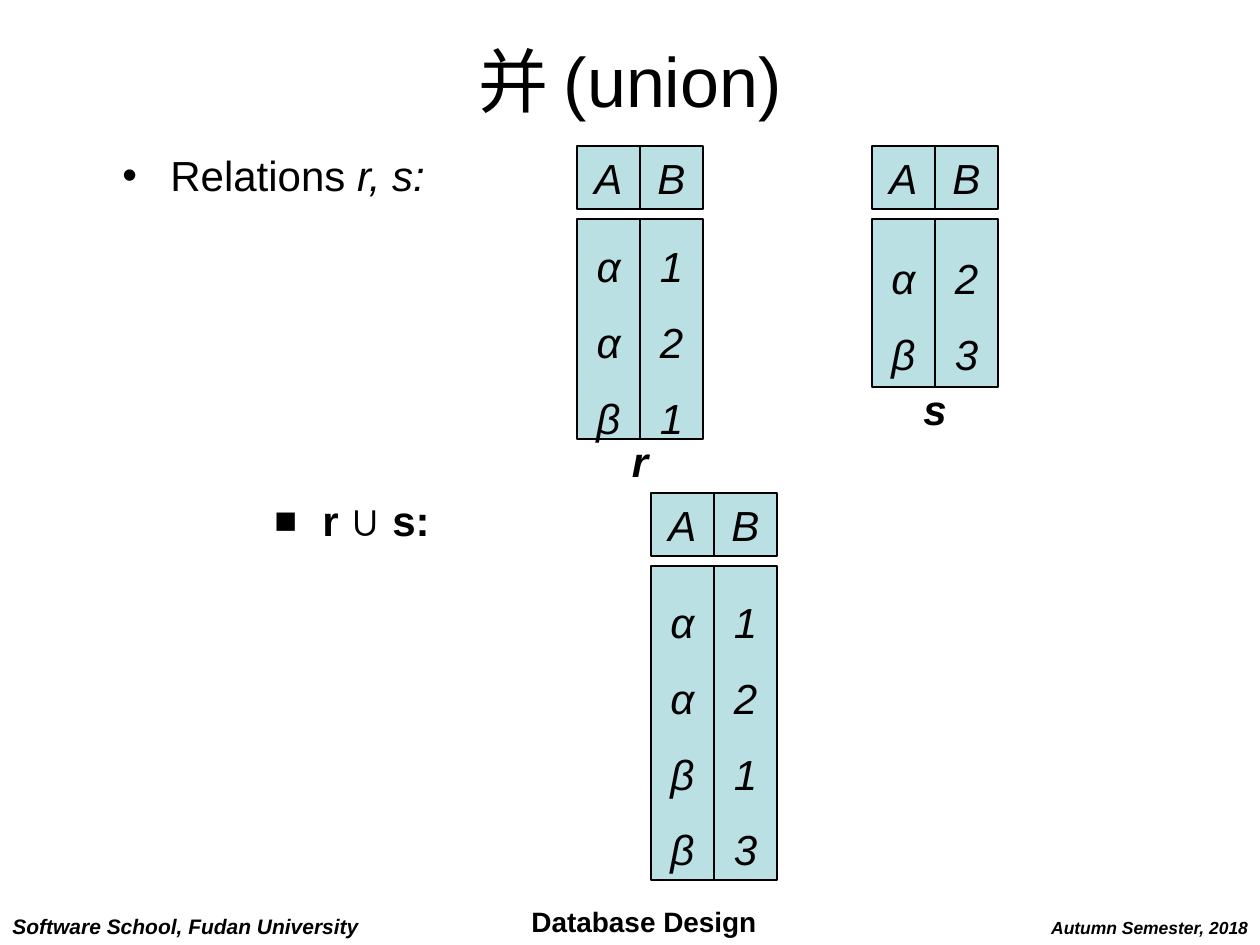
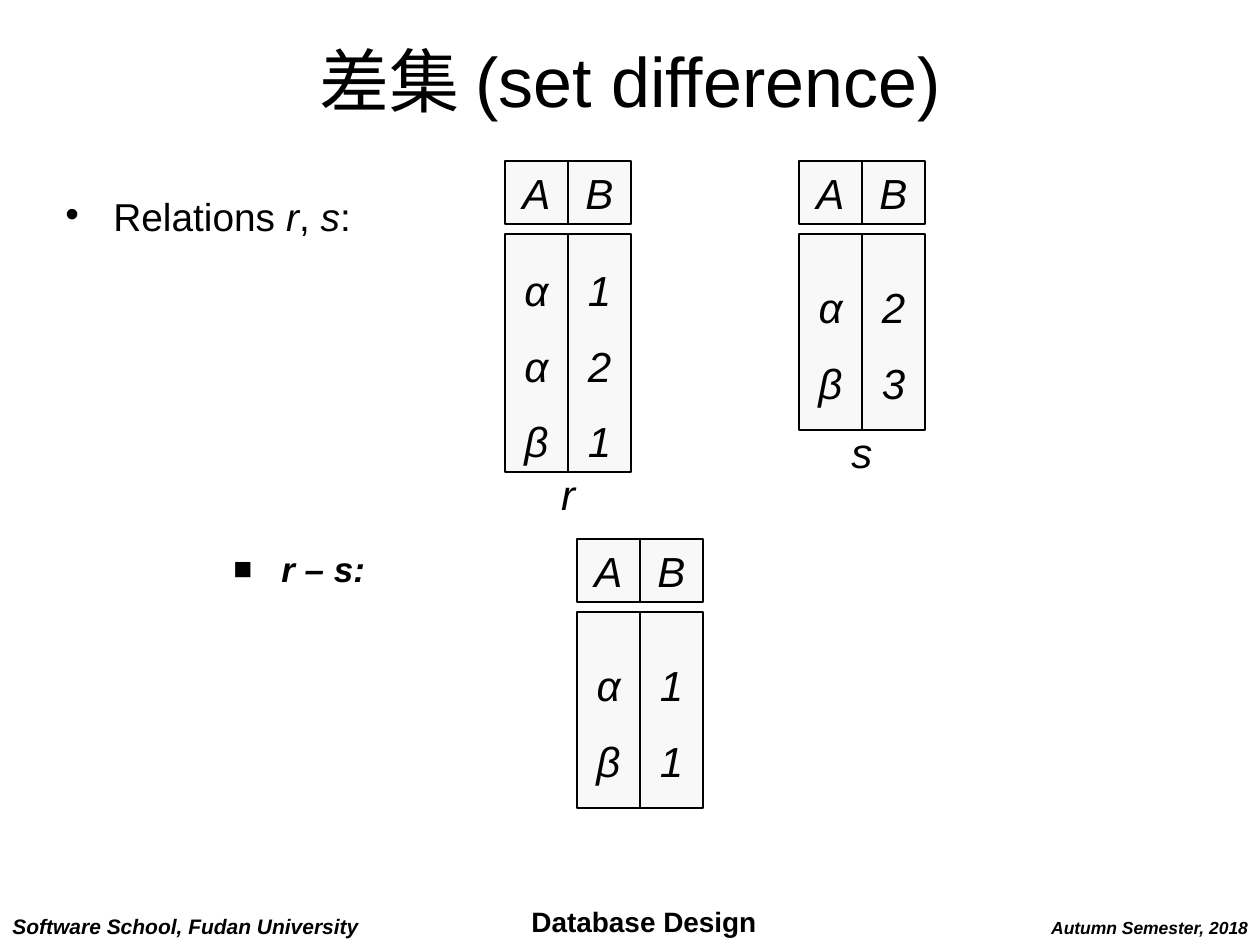
from dataclasses import dataclass
from typing import NamedTuple

from lxml import etree
from pptx import Presentation
from pptx.dml.color import RGBColor
from pptx.enum.shapes import MSO_SHAPE
from pptx.enum.text import MSO_ANCHOR, MSO_AUTO_SIZE, PP_ALIGN
from pptx.oxml.ns import qn
from pptx.util import Emu, Pt

RECTANGLE = MSO_SHAPE.RECTANGLE
LEFT, CENTER = PP_ALIGN.LEFT, PP_ALIGN.CENTER
TOP, MIDDLE = MSO_ANCHOR.TOP, MSO_ANCHOR.MIDDLE
NO_AUTOFIT = MSO_AUTO_SIZE.NONE

BLACK = RGBColor(0x00, 0x00, 0x00)
PALE_TEAL = RGBColor(0xBB, 0xE0, 0xE3)
PALE_GRAY = RGBColor(0xF8, 0xF8, 0xF8)

FONT = "Arial"
EMU_PER_PX = 914400 / 126
SLIDE_WIDTH, SLIDE_HEIGHT = 1260, 945
TITLE_ONLY = 5

CELL = 63  # column width and header height
HEADER_GAP = 10
LABEL_WIDTH, LABEL_OVERLAP = 46, 10
BULLET_INDENT = 48


class Box(NamedTuple):
    left: int
    top: int
    width: int
    height: int


class Span(NamedTuple):
    text: str
    italic: bool = False


class Bullet(NamedTuple):
    char: str
    percent: int = 100


DOT, SQUARE = Bullet("•"), Bullet("■", 90)


@dataclass
class Relation:
    left: int
    top: int
    body_height: int
    rows: list[str]
    name: str = ""


@dataclass
class BulletLine:
    box: Box
    bullet: Bullet
    spans: tuple[Span, ...]
    size: float
    spacing: float = 0.9
    bold: bool = False


@dataclass
class Footer:
    box: Box
    text: str
    size: int
    italic: bool = True
    align: PP_ALIGN = CENTER


@dataclass
class Operation:
    title: str
    fill: RGBColor
    bold_names: bool
    bullet_lines: list[BulletLine]
    relations: list[Relation]


FOOTERS = [
    Footer(Box(1038, 911, 223, 34), "Autumn Semester, 2018", 10),
    Footer(Box(519, 898, 250, 47), "Database Design", 16, italic=False),
    Footer(Box(0, 907, 372, 38), "Software School, Fudan University", 12, align=LEFT),
]

OPERATIONS = [
    Operation(
        "并 (union)", PALE_TEAL, True,
        [
            BulletLine(Box(110, 149, 945, 46), DOT,
                       (Span("Relations "), Span("r, s:", True)), 24),
            BulletLine(Box(262, 494, 310, 45), SQUARE,
                       (Span("r ∪ s:"),), 24, bold=True),
        ],
        [
            Relation(577, 146, 220, ["α1", "α2", "β1"], "r"),
            Relation(872, 146, 168, ["α2", "β3"], "s"),
            Relation(651, 493, 314, ["α1", "α2", "β1", "β3"]),
        ],
    ),
    Operation(
        "差集 (set difference)", PALE_GRAY, False,
        [
            BulletLine(Box(53, 199, 945, 46), DOT,
                       (Span("Relations "), Span("r", True), Span(", "),
                        Span("s", True), Span(":")), 22.2, spacing=0.7),
            BulletLine(Box(221, 546, 210, 45), SQUARE,
                       (Span("r – s:", True),), 20, bold=True),
        ],
        [
            Relation(505, 161, 238, ["α1", "α2", "β1"], "r"),
            Relation(799, 161, 196, ["α2", "β3"], "s"),
            Relation(577, 539, 196, ["α1", "β1"]),
        ],
    ),
]


def px(length: int) -> Emu:
    return Emu(round(length * EMU_PER_PX))


def place(box: Box) -> list[Emu]:
    return [px(length) for length in box]


def add_bullet(paragraph, bullet: Bullet) -> None:
    properties = paragraph._p.get_or_add_pPr()
    properties.set("marL", str(px(BULLET_INDENT)))
    properties.set("indent", str(-px(BULLET_INDENT)))
    color = etree.SubElement(properties, qn("a:buClr"))
    etree.SubElement(color, qn("a:srgbClr"), val=str(BLACK))
    etree.SubElement(properties, qn("a:buSzPct"), val=str(bullet.percent * 1000))
    etree.SubElement(properties, qn("a:buFont"), typeface=FONT)
    etree.SubElement(properties, qn("a:buChar"), char=bullet.char)


def write(shape, *lines: tuple[Span, ...], size: float, bold: bool = False,
          align: PP_ALIGN = CENTER, anchor: MSO_ANCHOR = MIDDLE,
          spacing: float = 1.0, wrap: bool = False,
          bullet: Bullet | None = None) -> None:
    """Fill a shape with one paragraph for each line of spans."""
    frame = shape.text_frame
    frame.word_wrap = wrap
    frame.auto_size = NO_AUTOFIT
    frame.vertical_anchor = anchor
    for index, spans in enumerate(lines):
        paragraph = frame.add_paragraph() if index else frame.paragraphs[0]
        if bullet:
            add_bullet(paragraph, bullet)
        paragraph.alignment = align
        paragraph.line_spacing = spacing
        for span in spans:
            run = paragraph.add_run()
            run.text = span.text
            run.font.name = FONT
            run.font.size = Pt(size)
            run.font.bold = bold
            run.font.italic = span.italic
            run.font.color.rgb = BLACK


def draw_cell(slide, box: Box, values: list[str], fill: RGBColor,
              spacing: float) -> None:
    cell = slide.shapes.add_shape(RECTANGLE, *place(box))
    cell.shadow.inherit = False
    cell.fill.solid()
    cell.fill.fore_color.rgb = fill
    cell.line.color.rgb = BLACK
    cell.line.width = Pt(0.75)
    write(cell, *[(Span(value, True),) for value in values],
          size=24, spacing=spacing)


def draw_relation(slide, relation: Relation, fill: RGBColor, bold_name: bool) -> None:
    body_top = relation.top + CELL + HEADER_GAP
    for column, heading in enumerate("AB"):
        left = relation.left + column * CELL
        draw_cell(slide, Box(left, relation.top, CELL, CELL), [heading], fill, 1.0)
        values = [row[column] for row in relation.rows]
        draw_cell(slide, Box(left, body_top, CELL, relation.body_height),
                  values, fill, 1.5)
    if relation.name:
        name_box = Box(relation.left + CELL - LABEL_WIDTH // 2,
                       body_top + relation.body_height - LABEL_OVERLAP,
                       LABEL_WIDTH, CELL)
        write(slide.shapes.add_textbox(*place(name_box)),
              (Span(relation.name, True),), size=24, bold=bold_name)


def draw_bullet_line(slide, line: BulletLine) -> None:
    write(slide.shapes.add_textbox(*place(line.box)), line.spans, size=line.size,
          bold=line.bold, align=LEFT, anchor=TOP, spacing=line.spacing,
          wrap=True, bullet=line.bullet)


def draw_footer(slide, footer: Footer) -> None:
    write(slide.shapes.add_textbox(*place(footer.box)),
          (Span(footer.text, footer.italic),), size=footer.size, bold=True,
          align=footer.align, anchor=TOP)


def draw_title(slide, text: str) -> None:
    title = slide.shapes.title
    title.left, title.top, title.width, title.height = place(Box(63, 0, 1134, 158))
    write(title, (Span(text),), size=40, wrap=True)


def build_slide(deck, operation: Operation) -> None:
    slide = deck.slides.add_slide(deck.slide_layouts[TITLE_ONLY])
    for footer in FOOTERS:
        draw_footer(slide, footer)
    draw_title(slide, operation.title)
    for line in operation.bullet_lines:
        draw_bullet_line(slide, line)
    for relation in operation.relations:
        draw_relation(slide, relation, operation.fill, operation.bold_names)


def main() -> None:
    deck = Presentation()
    deck.slide_width, deck.slide_height = px(SLIDE_WIDTH), px(SLIDE_HEIGHT)
    for operation in OPERATIONS:
        build_slide(deck, operation)
    deck.save("out.pptx")


if __name__ == "__main__":
    main()
